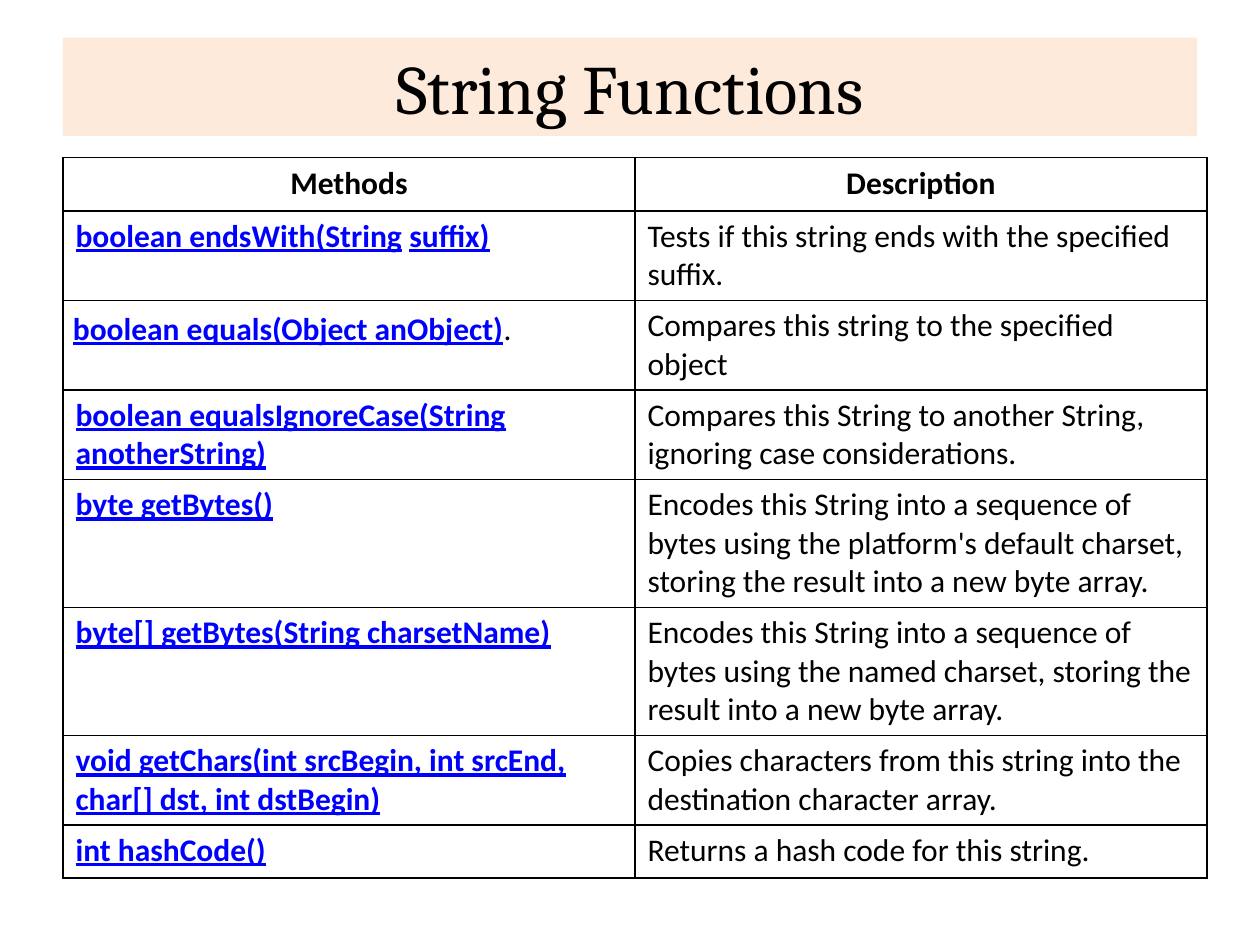
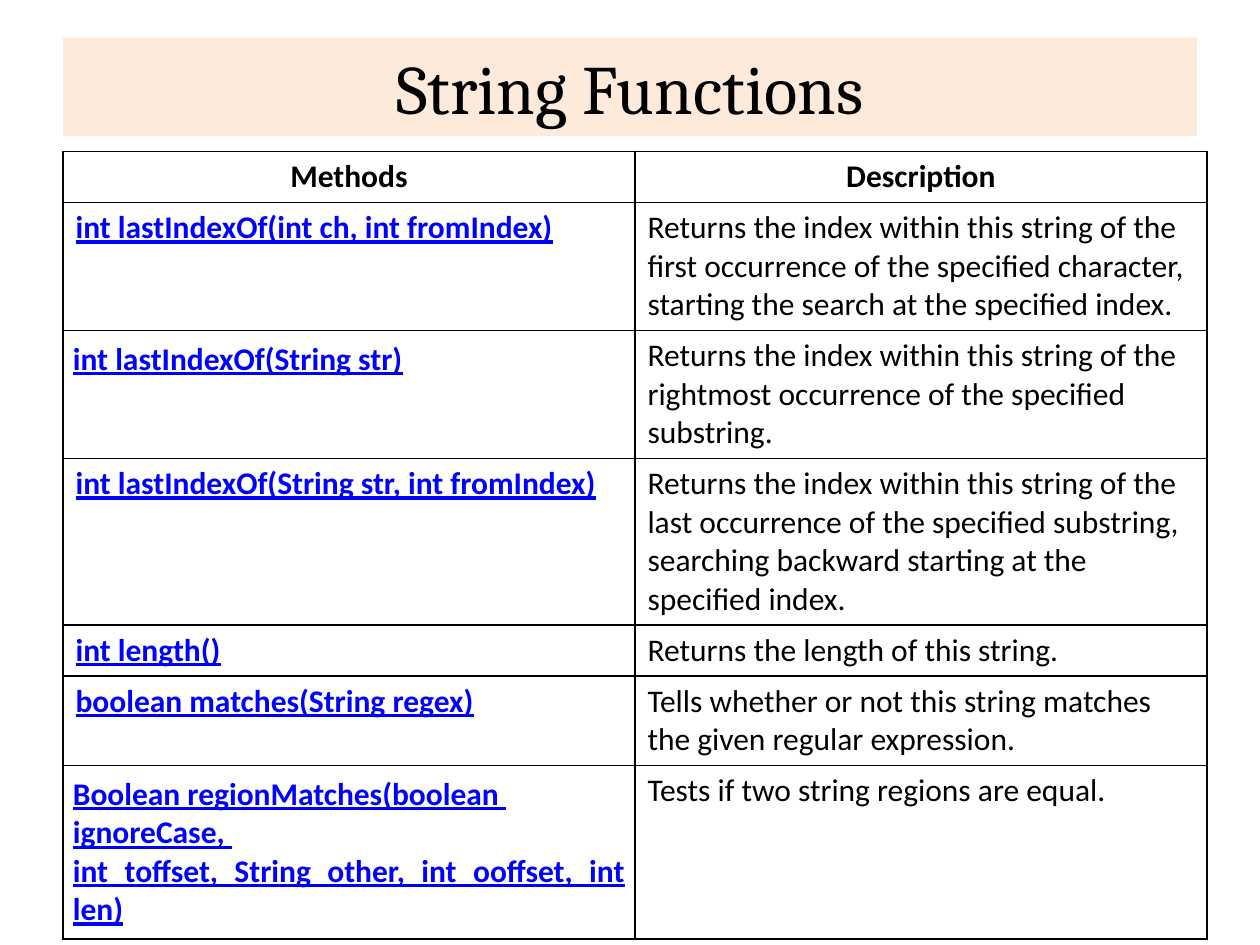
from lxml import etree
from pptx import Presentation
from pptx.dml.color import RGBColor
from pptx.enum.shapes import MSO_SHAPE
from pptx.enum.text import MSO_ANCHOR, PP_ALIGN
from pptx.oxml.ns import qn
from pptx.util import Cm, Pt

RECT = MSO_SHAPE.RECTANGLE
MIDDLE = MSO_ANCHOR.MIDDLE
LEFT, CENTER, JUSTIFY = PP_ALIGN.LEFT, PP_ALIGN.CENTER, PP_ALIGN.JUSTIFY
BLACK, LINK, BAND = "000000", "0000FF", "FDEADA"
TITLE = "String Functions"
HEADER = ("Methods", "Description")

SLIDES = [
    (3.18, [1.07] * 8, {2}, [
        ("boolean endsWith(String| |suffix)",
         "Tests if this string ends with the specified suffix."),
        ("boolean equals(Object anObject)|.",
         "Compares this string to the specified object"),
        ("boolean equalsIgnoreCase(String anotherString)",
         "Compares this String to another String, ignoring case considerations."),
        ("byte getBytes()",
         "Encodes this String into a sequence of bytes using the platform's "
         "default charset, storing the result into a new byte array."),
        ("byte[] getBytes(String charsetName)",
         "Encodes this String into a sequence of bytes using the named charset, "
         "storing the result into a new byte array."),
        ("void getChars(int srcBegin, int srcEnd, char[] dst, int dstBegin)",
         "Copies characters from this string into the destination character array."),
        ("int hashCode()", "Returns a hash code for this string."),
    ]),
    (3.05, [1.02, 2.44, 2.44, 3.18, 1.02, 1.7, 3.35], {2, 6}, [
        ("int lastIndexOf(int ch, int fromIndex)",
         "Returns the index within this string of the first occurrence of the "
         "specified character, starting the search at the specified index."),
        ("int lastIndexOf(String str)",
         "Returns the index within this string of the rightmost occurrence of "
         "the specified substring."),
        ("int lastIndexOf(String str, int fromIndex)",
         "Returns the index within this string of the last occurrence of the "
         "specified substring, searching backward starting at the specified index."),
        ("int length()", "Returns the length of this string."),
        ("boolean matches(String regex)",
         "Tells whether or not this string matches the given regular expression."),
        ("Boolean regionMatches(boolean \nignoreCase, \n"
         "int toffset, String other, int ooffset, int len)",
         "Tests if two string regions are equal."),
    ]),
]


def rgb(value):
    return RGBColor.from_string(value)


def add_borders(cell):
    tc_pr = cell._tc.get_or_add_tcPr()
    for i, side in enumerate(("lnL", "lnR", "lnT", "lnB")):
        ln = etree.Element(qn("a:" + side), w=str(Pt(1)))
        fill = etree.SubElement(ln, qn("a:solidFill"))
        etree.SubElement(fill, qn("a:srgbClr"), val=BLACK)
        tc_pr.insert(i, ln)


prs = Presentation()
prs.slide_width, prs.slide_height = Cm(25.4), Cm(19.05)

for top, heights, justified, methods in SLIDES:
    s = prs.slides.add_slide(prs.slide_layouts[6])

    sp = s.shapes.add_shape(RECT, Cm(1.27), Cm(0.76), Cm(22.86), Cm(1.98))
    sp.shadow.inherit = False
    sp.fill.solid()
    sp.fill.fore_color.rgb = rgb(BAND)
    sp.line.fill.background()
    tf = sp.text_frame
    tf.text = TITLE
    tf.word_wrap = True
    tf.vertical_anchor = MIDDLE
    p = tf.paragraphs[0]
    p.alignment = CENTER
    font = p.runs[0].font
    font.name, font.size = "Cambria", Pt(39.6)
    font.color.rgb = rgb(BLACK)

    rows = [HEADER] + methods
    table = s.shapes.add_table(len(rows), 2, Cm(1.27), Cm(top),
                               Cm(23.06), Cm(sum(heights))).table
    table.first_row = table.horz_banding = False
    for col in table.columns:
        col.width = Cm(11.53)

    for i, row in enumerate(rows):
        table.rows[i].height = Cm(heights[i])
        for j, text in enumerate(row):
            cell = table.cell(i, j)
            cell.fill.background()
            add_borders(cell)
            align = LEFT if i else CENTER
            if j == 0 and i in justified:
                align = JUSTIFY
                cell.margin_left = cell.margin_right = Cm(0.2)
                cell.margin_top = cell.margin_bottom = Cm(0.2)
            tf = cell.text_frame
            for k, line in enumerate(text.split("\n")):
                p = tf.add_paragraph() if k else tf.paragraphs[0]
                p.alignment = align
                for n, part in enumerate(line.split("|")):
                    link = i > 0 and j == 0 and n % 2 == 0
                    r = p.add_run()
                    r.text = part
                    r.font.name, r.font.size = "Calibri", Pt(18)
                    r.font.bold = link or i == 0 or part == " "
                    r.font.underline = link
                    r.font.color.rgb = rgb(LINK if link else BLACK)

prs.save("out.pptx")
